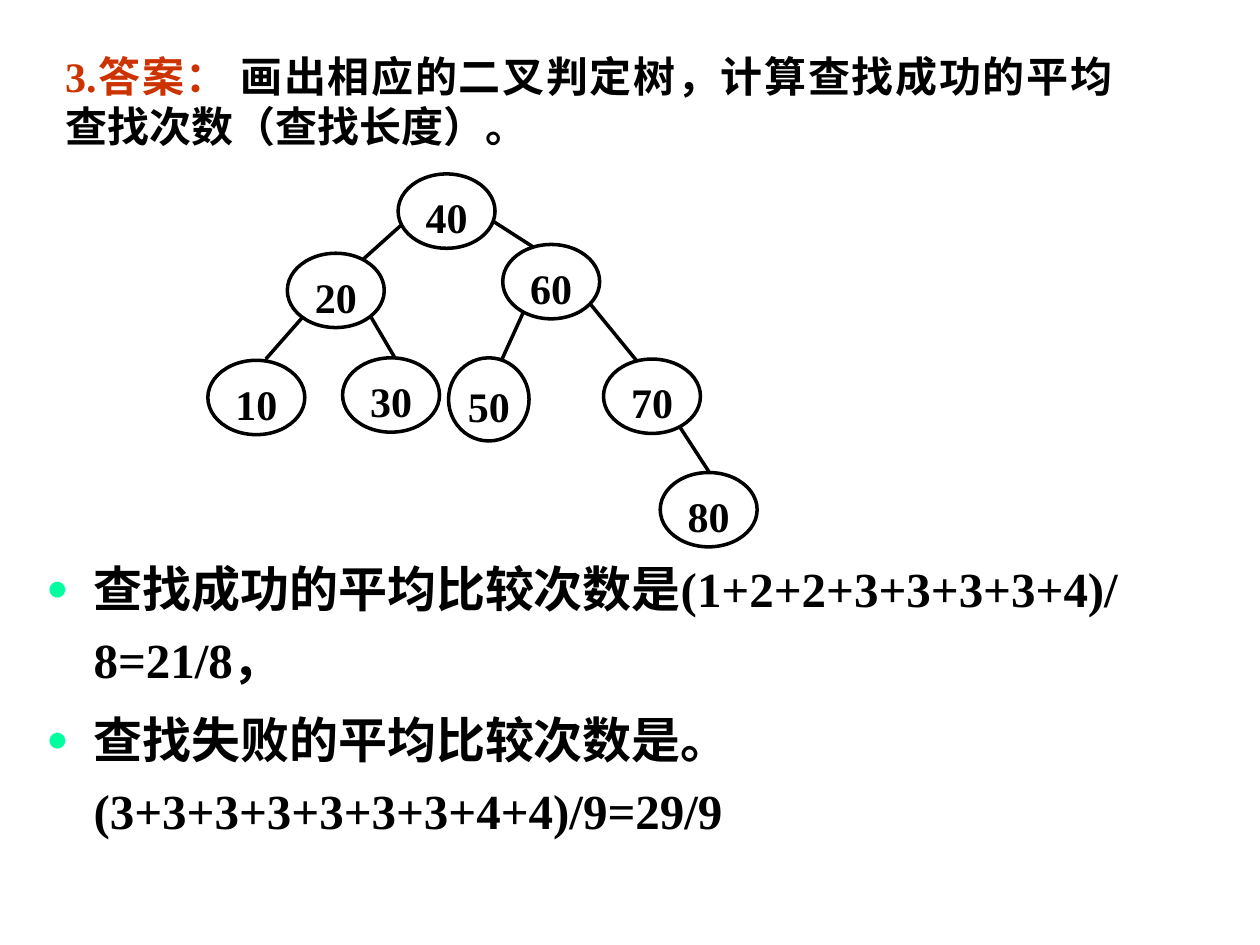
from dataclasses import dataclass

from lxml import etree
from pptx import Presentation
from pptx.dml.color import RGBColor
from pptx.enum.shapes import MSO_CONNECTOR, MSO_SHAPE
from pptx.enum.text import MSO_ANCHOR, PP_ALIGN
from pptx.oxml.ns import qn
from pptx.util import Pt

OVAL = MSO_SHAPE.OVAL
RECTANGLE = MSO_SHAPE.RECTANGLE
STRAIGHT = MSO_CONNECTOR.STRAIGHT
TOP = MSO_ANCHOR.TOP
CENTER, JUSTIFY, LEFT = PP_ALIGN.CENTER, PP_ALIGN.JUSTIFY, PP_ALIGN.LEFT


@dataclass(frozen=True)
class Theme:
    font: str = "Times New Roman"
    ink: str = "000000"
    paper: str = "FFFFFF"
    accent: str = "CC3300"
    bullet: str = "00FF9F"
    text_size: int = 24
    result_size: int = 28
    line_width: int = 2


def add_text(paragraph, text, *, theme, size, color=None):
    run = paragraph.add_run()
    run.text = text
    run.font.name = theme.font
    run.font.size = Pt(size)
    run.font.bold = True
    run.font.color.rgb = RGBColor.from_string(color or theme.ink)


class SlideBuilder:
    def __init__(self, slide, theme):
        self.slide = slide
        self.theme = theme

    def shape(self, kind, left, top, width, height, outlined):
        shape = self.slide.shapes.add_shape(kind, Pt(left), Pt(top), Pt(width), Pt(height))
        shape.shadow.inherit = False
        shape.fill.solid()
        shape.fill.fore_color.rgb = RGBColor.from_string(self.theme.paper)
        if outlined:
            shape.line.color.rgb = RGBColor.from_string(self.theme.ink)
            shape.line.width = Pt(self.theme.line_width)
        else:
            shape.line.fill.background()
        return shape

    def node(self, label, left, top, width=55.4, height=42.5):
        self.shape(OVAL, left, top, width, height, True)
        label_width, label_height = 29.5, 23
        box = self.shape(RECTANGLE, left + (width - label_width) / 2,
                         top + (height - label_height) / 2,
                         label_width, label_height, False)
        frame = box.text_frame
        frame.word_wrap = True
        frame.vertical_anchor = TOP
        frame.margin_left = frame.margin_right = Pt(0.7)
        frame.margin_top, frame.margin_bottom = Pt(6), Pt(3.6)
        paragraph = frame.paragraphs[0]
        paragraph.alignment = CENTER
        paragraph.line_spacing = 0.8
        add_text(paragraph, label, theme=self.theme, size=self.theme.text_size)

    def edge(self, start_x, start_y, end_x, end_y):
        connector = self.slide.shapes.add_connector(
            STRAIGHT, Pt(start_x), Pt(start_y), Pt(end_x), Pt(end_y))
        connector.line.color.rgb = RGBColor.from_string(self.theme.ink)
        connector.line.width = Pt(self.theme.line_width)
        etree.SubElement(connector._element.spPr, qn("a:effectLst"))

    def text_frame(self, left, top, width, height):
        box = self.slide.shapes.add_textbox(Pt(left), Pt(top), Pt(width), Pt(height))
        box.text_frame.word_wrap = True
        return box.text_frame

    def question(self, heading, text, *bounds):
        paragraph = self.text_frame(*bounds).paragraphs[0]
        paragraph.alignment = JUSTIFY
        size = self.theme.text_size
        add_text(paragraph, heading, theme=self.theme, size=size, color=self.theme.accent)
        add_text(paragraph, text, theme=self.theme, size=size)

    def bullets(self, items, *bounds):
        frame = self.text_frame(*bounds)
        for index, item in enumerate(items):
            paragraph = frame.add_paragraph() if index else frame.paragraphs[0]
            paragraph.alignment = LEFT
            paragraph.line_spacing = 1.2
            if index:
                paragraph.space_before = Pt(5.6)
            self.add_bullet(paragraph)
            add_text(paragraph, item, theme=self.theme, size=self.theme.result_size)

    def add_bullet(self, paragraph):
        properties = paragraph._p.get_or_add_pPr()
        properties.set("marL", str(Pt(27)))
        properties.set("indent", str(-Pt(27)))
        color = etree.SubElement(properties, qn("a:buClr"))
        etree.SubElement(color, qn("a:srgbClr"), val=self.theme.bullet)
        etree.SubElement(properties, qn("a:buSzPct"), val="75000")
        etree.SubElement(properties, qn("a:buFont"), typeface=self.theme.font)
        etree.SubElement(properties, qn("a:buChar"), char="●")


EDGES = [
    (229, 128.9, 207.4, 148.3),
    (282.2, 126.7, 304.6, 141.1),
    (172.8, 181.4, 151.9, 205.2),
    (211.7, 180.7, 226.1, 205.2),
    (301, 174.2, 286.6, 205.9),
    (337.7, 174.2, 363.6, 205.9),
    (388.1, 243.4, 405.4, 270),
]

NODES = [
    ("40", 227.5, 99.4),
    ("20", 164.2, 144.7),
    ("60", 287.3, 139.7),
    ("10", 118.8, 205.9),
    ("30", 195.8, 204.5),
    ("50", 256.3, 204.5, 46, 47.5),
    ("70", 344.9, 205.2),
    ("80", 377.3, 270),
]

RESULTS = [
    "查找成功的平均比较次数是(1+2+2+3+3+3+3+4)/8=21/8，",
    "查找失败的平均比较次数是。(3+3+3+3+3+3+3+4+4)/9=29/9",
]


def main():
    presentation = Presentation()
    presentation.slide_width, presentation.slide_height = Pt(720), Pt(540)
    slide = presentation.slides.add_slide(presentation.slide_layouts[6])
    builder = SlideBuilder(slide, Theme())
    builder.question("3.答案：", " 画出相应的二叉判定树，计算查找成功的平均查找次数（查找长度）。",
                     30.2, 25.2, 612.7, 70.6)
    for edge in EDGES:
        builder.edge(*edge)
    for node in NODES:
        builder.node(*node)
    builder.bullets(RESULTS, 19.4, 308.9, 666, 201.6)
    presentation.save("out.pptx")


if __name__ == "__main__":
    main()
